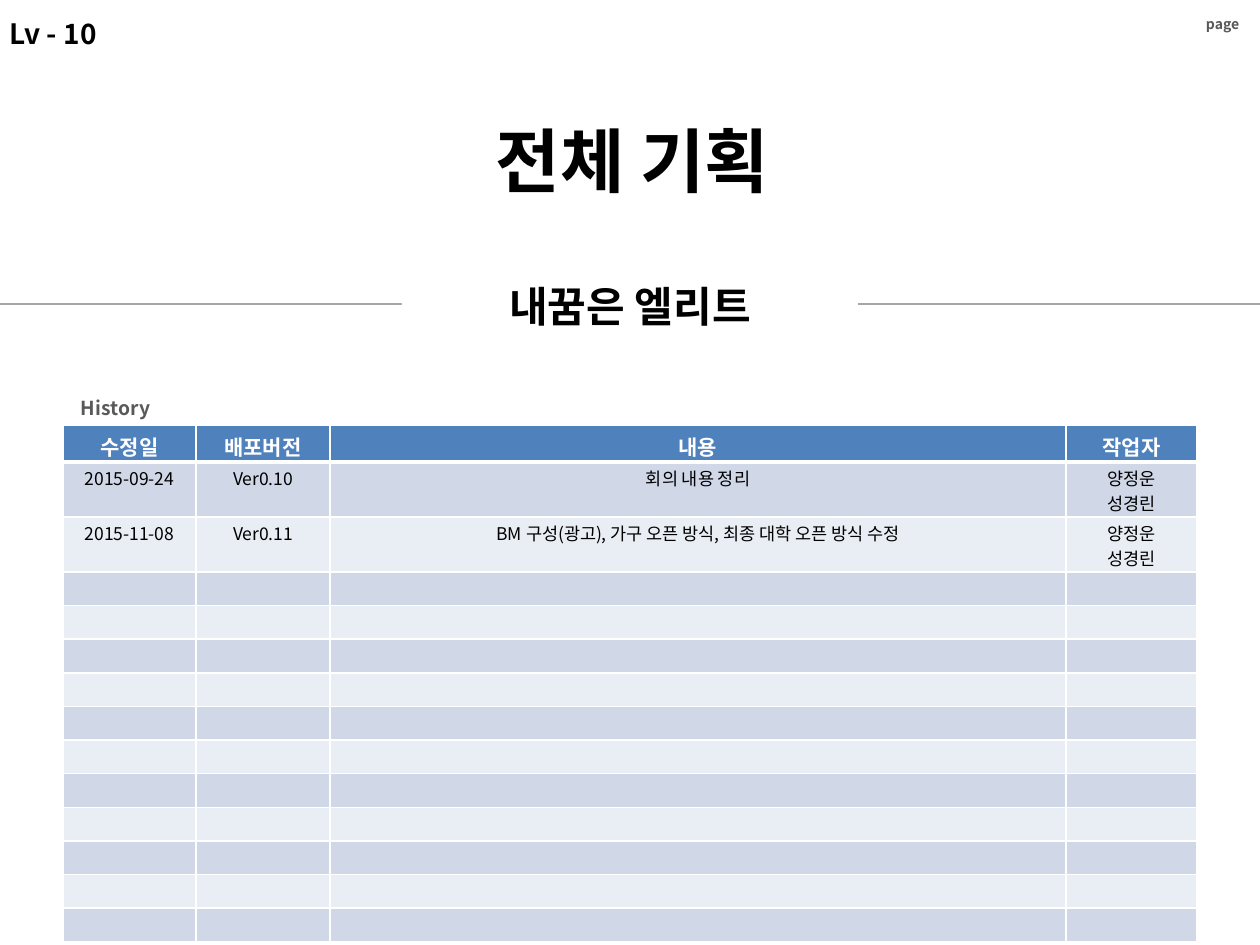
from dataclasses import dataclass

from lxml.etree import SubElement
from pptx import Presentation
from pptx.dml.color import RGBColor
from pptx.enum.shapes import MSO_CONNECTOR as Connector
from pptx.enum.shapes import MSO_SHAPE as Shape
from pptx.enum.text import MSO_ANCHOR as Anchor
from pptx.enum.text import MSO_AUTO_SIZE as AutoSize
from pptx.enum.text import PP_ALIGN as Align
from pptx.oxml import parse_xml
from pptx.oxml.ns import nsdecls, qn
from pptx.util import Pt

SCALE = 914400 // 126
FONT = "Noto Sans CJK KR"
COLORS = {
    "black": "000000",
    "white": "FFFFFF",
    "gray": "595959",
    "rule": "A6A6A6",
    "header": "4F81BD",
    "odd": "D0D8E8",
    "even": "E9EDF4",
}
COLUMN_WIDTHS = (133, 134, 736, 131)
HEADER_HEIGHT, ENTRY_HEIGHT = 37, 55
BLANK_ROWS, BLANK_TOTAL = 11, 370
HISTORY = (
    ("수정일", "배포버전", "내용", "작업자"),
    ("2015-09-24", "Ver0.10", "회의 내용 정리", "양정운\n성경린"),
    ("2015-11-08", "Ver0.11", "BM 구성(광고), 가구 오픈 방식, 최종 대학 오픈 방식 수정", "양정운\n성경린"),
)


@dataclass(frozen=True)
class Label:
    text: str
    left: int
    top: int
    width: int
    height: int
    size: int
    color: str = "black"
    inset: int = 0
    align: Align = Align.LEFT


TITLE = Label("전체 기획", 72, 111, 1121, 97, 40, inset=6, align=Align.CENTER)
SUBTITLE = Label("내꿈은 엘리트", 402, 271, 456, 69, 24, inset=6, align=Align.CENTER)
LABELS = (
    Label("page", 1201, 14, 59, 19, 8, "gray", inset=5),
    Label("Lv - 10", 10, 16, 402, 34, 16),
    Label("History", 81, 396, 402, 24, 11, "gray"),
)


def px(length: int) -> int:
    return length * SCALE


def rgb(name: str) -> RGBColor:
    return RGBColor.from_string(COLORS[name])


def style_text(frame, size: int, color: str, bold: bool, align: Align) -> None:
    for para in frame.paragraphs:
        para.alignment = align
        para.font.size = Pt(size)
        for span in para.runs:
            span.font.name = FONT
            span.font.size = Pt(size)
            span.font.bold = bold
            span.font.color.rgb = rgb(color)
            SubElement(span._r.get_or_add_rPr(), qn("a:ea"), typeface=FONT)


def set_label(box, label: Label) -> None:
    box.left, box.top = px(label.left), px(label.top)
    box.width, box.height = px(label.width), px(label.height)
    frame = box.text_frame
    frame.text = label.text
    frame.word_wrap = True
    frame.auto_size = AutoSize.NONE
    frame.vertical_anchor = Anchor.MIDDLE
    frame.margin_left = frame.margin_right = px(label.inset)
    frame.margin_top = frame.margin_bottom = px(label.inset)
    style_text(frame, label.size, label.color, True, label.align)


def set_borders(cell, bottom: int) -> None:
    properties = cell._tc.get_or_add_tcPr()
    sides = {"lnL": 1, "lnR": 1, "lnT": 1, "lnB": bottom}
    for index, (side, width) in enumerate(sides.items()):
        border = parse_xml(
            f'<a:{side} {nsdecls("a")} w="{Pt(width)}"><a:solidFill>'
            f'<a:srgbClr val="{COLORS["white"]}"/></a:solidFill></a:{side}>'
        )
        properties.insert(index, border)


def style_cell(cell, text: str, row_number: int) -> None:
    header = row_number == 0
    cell.text = text
    cell.margin_top, cell.margin_bottom = px(6 if header else 3), 0
    cell.fill.solid()
    cell.fill.fore_color.rgb = rgb("header" if header else "odd" if row_number % 2 else "even")
    set_borders(cell, 3 if header else 1)
    size, color = (12, "white") if header else (10, "black")
    style_text(cell.text_frame, size, color, header, Align.CENTER)


def add_history(page) -> None:
    heights = [px(HEADER_HEIGHT)] + [px(ENTRY_HEIGHT)] * (len(HISTORY) - 1)
    heights += [px(BLANK_TOTAL) // BLANK_ROWS] * BLANK_ROWS
    contents = HISTORY + (("",) * len(COLUMN_WIDTHS),) * BLANK_ROWS
    table = page.shapes.add_table(
        len(heights), len(COLUMN_WIDTHS), px(63), px(425), px(sum(COLUMN_WIDTHS)), sum(heights)
    ).table
    for column, width in zip(table.columns, COLUMN_WIDTHS):
        column.width = px(width)
    for number, (row, height, texts) in enumerate(zip(table.rows, heights, contents)):
        row.height = height
        for cell, text in zip(row.cells, texts):
            style_cell(cell, text, number)


def add_rule(page, top: int, width: int) -> None:
    rule = page.shapes.add_connector(Connector.STRAIGHT, 0, px(top), px(width), px(top))
    rule.line.color.rgb = rgb("rule")
    rule.line.width = Pt(1)
    SubElement(rule._element.spPr, qn("a:effectLst"))


def add_subtitle(page) -> None:
    plate = page.shapes.add_shape(Shape.ROUNDED_RECTANGLE, 0, 0, 0, 0)
    plate.shadow.inherit = False
    plate.fill.solid()
    plate.fill.fore_color.rgb = rgb("white")
    plate.line.fill.background()
    set_label(plate, SUBTITLE)


def main() -> None:
    deck = Presentation()
    deck.slide_width, deck.slide_height = px(1260), px(945)
    page = deck.slides.add_slide(deck.slide_layouts[5])
    set_label(page.shapes.title, TITLE)
    for label in LABELS:
        set_label(page.shapes.add_textbox(0, 0, 0, 0), label)
    add_history(page)
    add_rule(page, 304, 1260)
    add_subtitle(page)
    deck.save("out.pptx")


if __name__ == "__main__":
    main()
